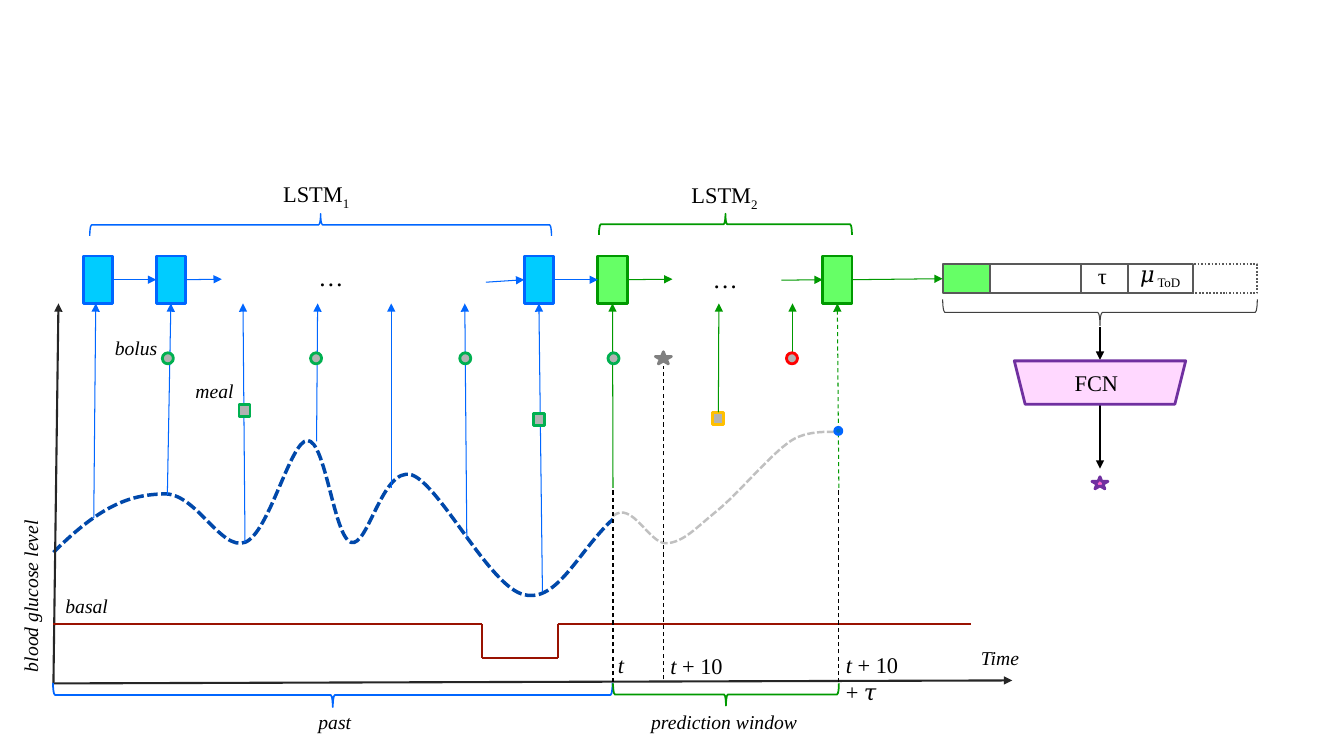
"""Slide: two chained LSTMs over a blood glucose time line, feeding an FCN."""
import itertools

import lxml.etree
import pptx
import pptx.dml.color
import pptx.enum.dml
import pptx.enum.shapes
import pptx.enum.text
import pptx.oxml.ns
import pptx.util

SHAPE = pptx.enum.shapes.MSO_SHAPE
DASH = pptx.enum.dml.MSO_LINE
COLORS = {
    "black": "000000", "axis": "262626", "basal": "991201", "cgm": "0048AA",
    "future": "C0C0C0", "blue": "0066FF", "cyan": "00CCFF", "green": "009900",
    "lime": "66FF66", "marker": "B2B2B2", "known": "00B050", "amber": "FFC000",
    "red": "FF0000", "star": "808080", "target": "0070C0", "cell": "595959",
    "brace": "404040", "purple": "7030A0", "pink": "FF66CC", "lilac": "FFD8FF",
}
FONT = {"name": "Times New Roman"}
IT, UP, SUB = "italic", "upright", "sub"

CURVES = [
    ("cgm", 2.5, [
        (0.53, 5.48), (1.01, 5), (1.3, 4.91), (1.62, 4.9), (1.94, 4.88),
        (2.19, 5.47), (2.43, 5.38), (2.67, 5.29), (2.88, 4.37), (3.05, 4.37),
        (3.23, 4.37), (3.31, 5.32), (3.48, 5.38), (3.65, 5.44), (3.79, 4.63),
        (4.08, 4.71), (4.36, 4.8), (4.86, 5.83), (5.2, 5.9), (5.53, 5.98),
        (5.74, 5.46), (6.08, 5.15)]),
    ("future", 1.75, [
        (6.08, 5.12), (6.27, 4.96), (6.44, 5.4), (6.61, 5.39), (6.78, 5.38),
        (6.9, 5.24), (7.11, 5.07), (7.32, 4.9), (7.65, 4.5), (7.85, 4.37),
        (8.05, 4.24), (8.38, 4.3), (8.32, 4.29)]),
]
BASAL = [(0.53, 6.19), (4.78, 6.19), (4.78, 6.53), (5.53, 6.53), (5.53, 6.19), (9.63, 6.19)]

CELL_TOP, CELL_HEIGHT, STRIP_LEFT = 2.54, 0.47, 9.35
LSTM_CELLS = [
    ("past1", 0.83, "cyan", "blue"), ("past2", 1.55, "cyan", "blue"),
    ("past3", 5.2, "cyan", "blue"), ("next1", 5.93, "lime", "green"),
    ("next2", 8.16, "lime", "green"),
]
STRIP = [("state", 0.47, "lime"), ("features", 0.9, None), ("tau", 0.47, None),
         ("mu", 0.64, None), ("optional", 0.64, None)]

HOPS = [
    ("blue", "past1", "past2"), ("blue", "past2", (2.2, 2.77)),
    ("blue", (4.82, 2.8), "past3"), ("blue", "past3", "next1"),
    ("green", "next1", (6.67, 2.77)), ("green", (7.75, 2.78), "next2"),
    ("green", "next2", "state"),
]
READINGS = [
    ("blue", 0.93, 5.14, 0.95, None), ("blue", 1.66, 4.91, 1.68, "past2"),
    ("blue", 2.43, 5.38, 2.41, None), ("blue", 3.14, 4.38, 3.15, None),
    ("blue", 3.88, 4.84, 3.88, None), ("blue", 4.63, 5.34, 4.61, None),
    ("blue", 5.38, 5.87, 5.34, "past3"), ("green", 6.08, 4.84, 6.08, "next1"),
    ("green", 7.86, 3.5, 7.86, None),
]
AXES = [(0.53, 6.78, 10.04, 6.75), (0.53, 6.78, 0.58, 3.01)]
TIME_MARKS = [(8.32, 6.77, 4.84), (6.58, 6.74, 3.63), (6.08, 6.77, 4.84)]
FCN_ARROWS = [(3.24, 3.57), (4.01, 4.65)]

BOLUSES = [(1.61, "known"), (3.08, "known"), (4.56, "known"), (6.03, "known"), (7.8, "red")]
MEALS = [(2.37, 4.01), (5.29, 4.1)]
SHAPES = [
    (SHAPE.STAR_5_POINT, (6.5, 3.49, 0.16, 0.12), 0, "star", "star", 2),
    (SHAPE.OVAL, (8.28, 4.24, 0.07, 0.07), 0, "target", "blue", 2),
    (SHAPE.TRAPEZOID, (10.06, 3.58, 1.7, 0.43), 180, "lilac", "purple", 2),
    (SHAPE.STAR_5_POINT, (10.83, 4.73, 0.16, 0.12), 0, "pink", "purple", 2),
    (SHAPE.RIGHT_BRACE, (3.18, 4.12, 0.24, 5.55), 90, None, "blue", 1.25),
    (SHAPE.RIGHT_BRACE, (7.09, 5.77, 0.22, 2.24), 90, None, "green", 1.25),
    (SHAPE.RIGHT_BRACE, (3.07, -0.06, 0.22, 4.58), 270, None, "blue", 1),
    (SHAPE.RIGHT_BRACE, (7.09, 0.97, 0.21, 2.51), 270, None, "green", 1.25),
    (SHAPE.LEFT_BRACE, (10.78, 1.54, 0.26, 3.12), 270, None, "brace", 0.75),
]
LABELS = [
    ((6.03, 6.41, 0.27, 0.37), 0, False, 16, [("t", IT)]),
    ((6.55, 6.42, 0.75, 0.37), 0, False, 16, [("t ", IT), ("+ 10", UP)]),
    ((8.29, 6.41, 0.85, 0.62), 0, True, 16, [("t ", IT), ("+ 10 + 𝜏", UP)]),
    ((-0.8, 5.49, 2.21, 0.34), 270, True, 14, [("blood glucose level", IT)]),
    ((1.04, 3.28, 1.05, 0.34), 0, True, 14, [("bolus", IT)]),
    ((1.84, 3.71, 0.95, 0.34), 0, True, 14, [("meal", IT)]),
    ((0.55, 5.84, 0.95, 0.34), 0, True, 14, [("basal", IT)]),
    ((3.06, 6.99, 0.73, 0.34), 0, True, 14, [("past", IT)]),
    ((6.36, 6.99, 1.66, 0.34), 0, False, 14, [("prediction window", IT)]),
    ((9.63, 6.36, 0.73, 0.34), 0, True, 14, [("Time", IT)]),
    ((2.71, 1.74, 0.99, 0.37), 0, True, 16, [("LSTM", UP), ("1", SUB)]),
    ((6.76, 1.75, 0.91, 0.37), 0, True, 16, [("LSTM", UP), ("2", SUB)]),
    ((3.06, 2.54, 0.45, 0.4), 0, False, 18, [("…", UP)]),
    ((6.97, 2.56, 0.45, 0.4), 0, False, 18, [("…", UP)]),
    ((10.79, 2.55, 0.31, 0.37), 0, False, 16, [("τ", UP)]),
    ((10.56, 3.61, 0.64, 0.37), 0, True, 16, [("FCN", UP)]),
    ((11.21, 2.53, 0.6, 0.37), 0, True, 16, [("𝜇", UP), ("ToD", SUB)]),
]


def cm(inches):
    return pptx.util.Cm(inches * 2.54)


def rgb(name):
    return pptx.dml.color.RGBColor.from_string(COLORS[name])


def set_line(sp, color, width, dash=None):
    sp.line.color.rgb = rgb(color)
    for key, value in {"width": pptx.util.Pt(width), "dash_style": dash}.items():
        setattr(sp.line, key, value)


def add_shape(shapes, kind, box, fill, color, width, rotation=0, dash=None):
    sp = shapes.add_shape(kind, *map(cm, box))
    sp.rotation = rotation
    sp.shadow.inherit = False
    if fill:
        sp.fill.solid()
        sp.fill.fore_color.rgb = rgb(fill)
    else:
        sp.fill.background()
    set_line(sp, color, width, dash)
    return sp


def add_line(shapes, start, end, color, width=0.75, dash=None, arrow=True):
    straight = pptx.enum.shapes.MSO_CONNECTOR.STRAIGHT
    sp = shapes.add_connector(straight, *map(cm, start + end))
    set_line(sp, color, width, dash)
    if arrow:
        tail = lxml.etree.SubElement(sp.line._get_or_add_ln(), pptx.oxml.ns.qn("a:tailEnd"))
        tail.set("type", "triangle")
    lxml.etree.SubElement(sp._element.spPr, pptx.oxml.ns.qn("a:effectLst"))
    return sp


def add_curve(shapes, color, width, points):
    emu = [(cm(x), cm(y)) for x, y in points]
    builder = shapes.build_freeform(*emu[0])
    builder.add_line_segments(emu[1:], close=False)
    sp = builder.convert_to_shape()
    qn = pptx.oxml.ns.qn
    segments = list(sp._element.iter(qn("a:lnTo")))
    for i in range(0, len(segments), 3):
        bezier = lxml.etree.SubElement(segments[i].getparent(), qn("a:cubicBezTo"))
        for segment in segments[i:i + 3]:
            bezier.append(segment[0])
            segment.getparent().remove(segment)
    sp.fill.background()
    sp.shadow.inherit = False
    set_line(sp, color, width, DASH.SQUARE_DOT)


def add_label(shapes, box, rotation, wrap, size, runs):
    sp = shapes.add_textbox(*map(cm, box))
    sp.rotation = rotation
    tf = sp.text_frame
    tf.word_wrap = wrap
    tf.auto_size = pptx.enum.text.MSO_AUTO_SIZE.SHAPE_TO_FIT_TEXT
    for text, style in runs:
        r = tf.paragraphs[0].add_run()
        r.text = text
        for key, value in {**FONT, "size": pptx.util.Pt(size), "italic": style == IT}.items():
            setattr(r.font, key, value)
        r.font.color.rgb = rgb("black")
        if style == SUB:
            r._r.get_or_add_rPr().set("baseline", "-25000")


def main():
    prs = pptx.Presentation()
    prs.slide_width, prs.slide_height = cm(13.33), cm(7.5)
    shapes = prs.slides.add_slide(prs.slide_layouts[6]).shapes
    rect, boxes = SHAPE.RECTANGLE, {}
    for curve in CURVES:
        add_curve(shapes, *curve)
    for x1, y1, x2, y2 in AXES:
        add_line(shapes, (x1, y1), (x2, y2), "axis", 1.5)
    basal = shapes.add_group_shape().shapes
    for start, end in itertools.pairwise(BASAL):
        add_line(basal, start, end, "basal", 1.5, arrow=False)
    for name, left, fill, color in LSTM_CELLS:
        boxes[name] = add_shape(shapes, rect, (left, CELL_TOP, 0.29, CELL_HEIGHT), fill, color, 2)
    right = STRIP_LEFT + sum(width for _, width, _ in STRIP)
    for name, width, fill in reversed(STRIP):
        right -= width
        dash = DASH.ROUND_DOT if name == "optional" else None
        boxes[name] = add_shape(shapes, rect, (right, 2.62, width, 0.29), fill, "cell", 1.25, dash=dash)
    for color, start, end in HOPS:
        ends = [(0, 0) if p in boxes else p for p in (start, end)]
        sp = add_line(shapes, *ends, color)
        if start in boxes:
            sp.begin_connect(boxes[start], 3)
        if end in boxes:
            sp.end_connect(boxes[end], 1)
    for color, x1, y1, x2, box in READINGS:
        sp = add_line(shapes, (x1, y1), (x2, CELL_TOP + CELL_HEIGHT), color)
        if box:
            sp.end_connect(boxes[box], 2)
    sp = add_line(shapes, (8.32, 4.84), (8.32, 3.01), "green", dash=DASH.DASH)
    sp.end_connect(boxes["next2"], 2)
    for x, bottom, top in TIME_MARKS:
        add_line(shapes, (x, bottom), (x, top), "black", dash=DASH.DASH, arrow=False)
    for top, bottom in FCN_ARROWS:
        add_line(shapes, (10.91, top), (10.91, bottom), "black")
    for left, color in BOLUSES:
        add_shape(shapes, SHAPE.OVAL, (left, 3.5, 0.11, 0.11), "marker", color, 2)
    for left, top in MEALS:
        add_shape(shapes, rect, (left, top, 0.11, 0.12), "marker", "known", 2)
    meal = add_shape(shapes, rect, (7.07, 4.09, 0.11, 0.12), "marker", "amber", 2)
    add_line(shapes, (7.13, 4.09), (7.13, 3.01), "green").begin_connect(meal, 0)
    for kind, box, rotation, fill, color, width in SHAPES:
        add_shape(shapes, kind, box, fill, color, width, rotation)
    for label in LABELS:
        add_label(shapes, *label)
    prs.save("out.pptx")


if __name__ == "__main__":
    main()
